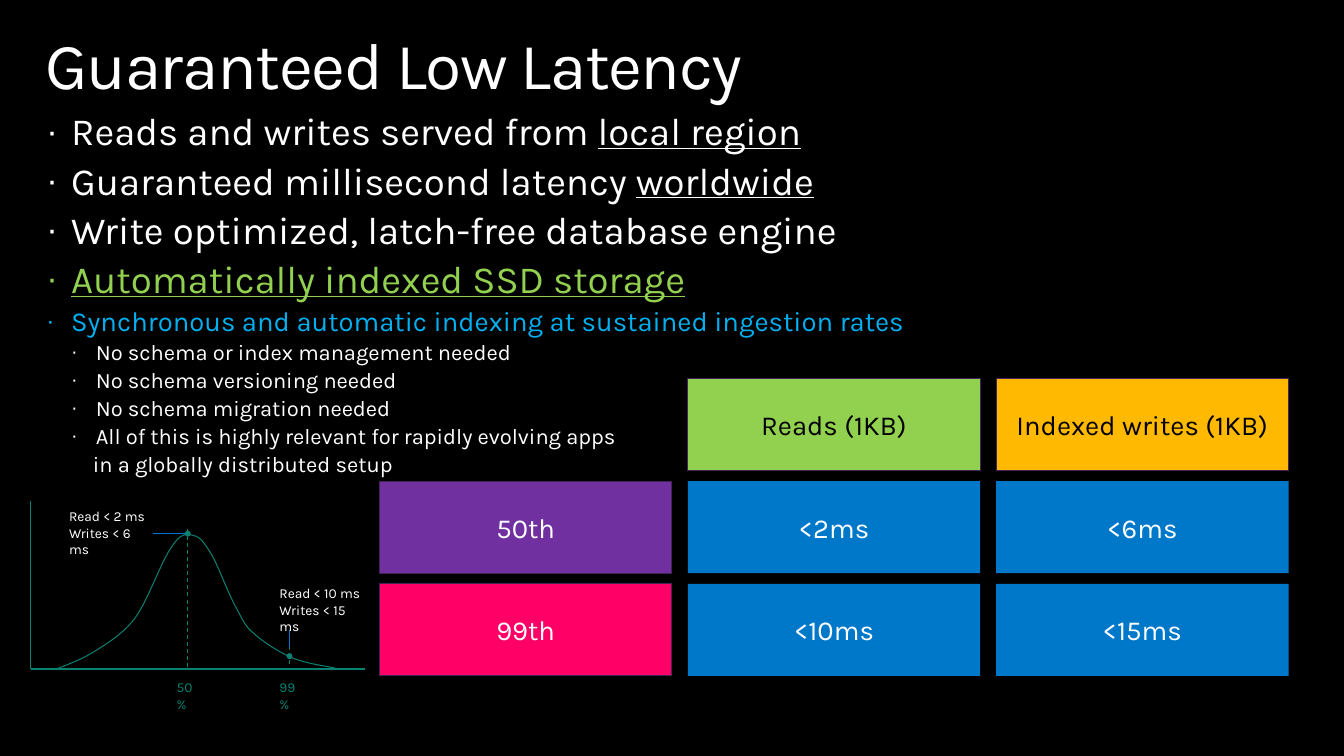
from lxml import etree
from pptx import Presentation
from pptx import util as u
from pptx.dml.color import RGBColor
from pptx.enum import dml, shapes, text
from pptx.oxml.ns import qn

Inches, Pt = u.Inches, u.Pt

COLORS = {
    "black": "000000", "white": "FFFFFF", "green": "92D050", "sky": "00B0F0",
    "amber": "FFB900", "purple": "7030A0", "pink": "FF0066", "blue": "0078C9",
    "outline": "442359", "teal": "0B8172", "callout": "0078D7",
}


def color(name):
    return RGBColor.from_string(COLORS[name])


class LatencySlide:
    font_name = "Karla"

    def __init__(self, presentation):
        self.slide = presentation.slides.add_slide(presentation.slide_layouts[1])
        self.shapes = self.slide.shapes
        self.slide.background.fill.solid()
        self.slide.background.fill.fore_color.rgb = color("black")

    def style(self, paragraph, size, color_name):
        paragraph.font.name = self.font_name
        paragraph.font.size = Pt(size)
        paragraph.font.color.rgb = color(color_name)

    def place(self, placeholder, left, top, width, height):
        placeholder.left, placeholder.top = Inches(left), Inches(top)
        placeholder.width, placeholder.height = Inches(width), Inches(height)
        frame = placeholder.text_frame
        frame.word_wrap = True
        frame.auto_size = text.MSO_AUTO_SIZE.NONE
        frame.vertical_anchor = text.MSO_ANCHOR.TOP
        frame.margin_left = frame.margin_right = Inches(0.16)
        frame.margin_top = frame.margin_bottom = Inches(0.1)
        return frame

    def title(self, words):
        paragraph = self.place(self.shapes.title, 0.3, 0.23, 13, 1).paragraphs[0]
        paragraph.alignment = text.PP_ALIGN.LEFT
        paragraph.line_spacing = 0.9
        run = paragraph.add_run()
        run.text = words
        run._r.get_or_add_rPr().set("spc", "-100")
        self.style(paragraph, 48, "white")

    def bullets(self, items):
        frame = self.place(self.slide.placeholders[1], 0.31, 1.04, 13, 4.77)
        for index, (plain, underlined, size, color_name, level, margin, hanging) in enumerate(items):
            paragraph = frame.add_paragraph() if index else frame.paragraphs[0]
            paragraph.level = level
            paragraph.line_spacing = 0.9
            # A fifth of the text size
            paragraph.space_before = Pt(size * 0.2 if index else 0)
            properties = paragraph._p.get_or_add_pPr()
            properties.set("marL", str(Inches(margin)))
            properties.set("indent", str(Inches(-0.25 if hanging else 0)))
            if hanging:
                etree.SubElement(properties, qn("a:buSzPct"), val="90000")
                etree.SubElement(properties, qn("a:buChar"), char="·")
            else:
                etree.SubElement(properties, qn("a:buNone"))
            for words, underline in ((plain, False), (underlined, True)):
                if words:
                    run = paragraph.add_run()
                    run.text = words
                    if underline:
                        run.font.underline = True
            self.style(paragraph, size, color_name)

    def shape(self, kind, left, top, width, height, fill):
        shape = self.shapes.add_shape(
            kind, Inches(left), Inches(top), Inches(width), Inches(height))
        shape.shadow.inherit = False
        shape.fill.solid()
        shape.fill.fore_color.rgb = color(fill)
        shape.line.fill.background()
        return shape

    def cell(self, column, row, words, fill, text_color="white", outline=None):
        shape = self.shape(shapes.MSO_SHAPE.RECTANGLE, 3.84 + 3.12 * column,
                           3.83 + 1.04 * row, 2.96, 0.93, fill)
        if outline:
            shape.line.color.rgb = color(outline)
            shape.line.width = Pt(0.75)
        frame = shape.text_frame
        frame.margin_left = frame.margin_right = 0
        frame.vertical_anchor = text.MSO_ANCHOR.MIDDLE
        paragraph = frame.paragraphs[0]
        paragraph.text = words
        paragraph.alignment = text.PP_ALIGN.CENTER
        self.style(paragraph, 20, text_color)

    def line(self, start, end, color_name="teal", width=0.75, dashed=False):
        connector = self.shapes.add_connector(
            shapes.MSO_CONNECTOR.STRAIGHT, *map(Inches, start + end))
        connector.line.color.rgb = color(color_name)
        connector.line.width = Pt(width)
        if dashed:
            connector.line.dash_style = dml.MSO_LINE.DASH
        etree.SubElement(connector._element.spPr, qn("a:effectLst"))

    def curve(self, start, segments, steps=10):
        """Draw a chain of cubic curves; a segment is two controls and an end."""
        points = [start]
        for first, second, end in segments:
            origin = points[-1]
            for step in range(1, steps + 1):
                t = step / steps
                s = 1 - t
                points.append(tuple(
                    s**3 * a + 3 * s * s * t * b + 3 * s * t * t * c + t**3 * d
                    for a, b, c, d in zip(origin, first, second, end)))
        # The builder rounds to whole units, so points go in as lengths
        vertices = [(Inches(x), Inches(y)) for x, y in points]
        builder = self.shapes.build_freeform(*vertices[0])
        builder.add_line_segments(vertices[1:], close=False)
        shape = builder.convert_to_shape()
        shape.shadow.inherit = False
        shape.fill.background()
        shape.line.color.rgb = color("teal")
        shape.line.width = Pt(0.75)

    def dot(self, left, top):
        self.shape(shapes.MSO_SHAPE.OVAL, left, top, 0.06, 0.06, "teal")

    def label(self, left, top, width, height, lines, color_name):
        box = self.shapes.add_textbox(
            Inches(left), Inches(top), Inches(width), Inches(height))
        frame = box.text_frame
        frame.word_wrap = True
        for index, words in enumerate(lines):
            paragraph = frame.add_paragraph() if index else frame.paragraphs[0]
            paragraph.text = words
            self.style(paragraph, 10, color_name)


def main():
    presentation = Presentation()
    presentation.slide_width, presentation.slide_height = Inches(13.6), Inches(7.65)
    slide = LatencySlide(presentation)

    # Title and list: plain, underlined, size, colour, level, margin, hanging bullet
    slide.bullets([
        ("Reads and writes served from ", "local region", 28, "white", 0, 0.25, True),
        ("Guaranteed millisecond latency ", "worldwide", 28, "white", 0, 0.25, True),
        ("Write optimized, latch-free database engine", "", 28, "white", 0, 0.25, True),
        ("", "Automatically indexed SSD storage", 28, "green", 0, 0.25, True),
        ("Synchronous and automatic indexing at sustained ingestion rates", "",
         20, "sky", 0, 0.25, True),
        ("No schema or index management needed", "", 16, "white", 1, 0.5, True),
        ("No schema versioning needed", "", 16, "white", 1, 0.5, True),
        ("No schema migration needed", "", 16, "white", 1, 0.5, True),
        ("All of this is highly relevant for rapidly evolving apps", "",
         16, "white", 1, 0.5, True),
        ("in a globally distributed setup", "", 16, "white", 1, 0.47, False),
    ])
    slide.title("Guaranteed Low Latency")

    # Latency grid
    slide.cell(1, 0, "Reads (1KB)", "green", "black", "outline")
    slide.cell(2, 0, "Indexed writes (1KB)", "amber", "black", "outline")
    percentiles = [("50th", "purple", "<2ms", "<6ms"), ("99th", "pink", "<10ms", "<15ms")]
    for row, (name, fill, reads, writes) in enumerate(percentiles, 1):
        slide.cell(0, row, name, fill, outline="outline")
        slide.cell(1, row, reads, "blue")
        slide.cell(2, row, writes, "blue")

    # Axes and distribution curve
    slide.line((0.31, 5.07), (0.31, 6.77), width=1)
    slide.line((0.31, 6.77), (3.69, 6.77), width=1)
    slide.curve((0.57, 6.77), [
        ((0.7, 6.72), (0.83, 6.67), (0.96, 6.59)),
        ((1.1, 6.5), (1.24, 6.42), (1.37, 6.25)),
        ((1.5, 6.07), (1.64, 5.66), (1.74, 5.53)),
        ((1.83, 5.39), (1.89, 5.4), (1.96, 5.42)),
        ((2.02, 5.43), (2.06, 5.48), (2.14, 5.61)),
        ((2.21, 5.73), (2.31, 6.01), (2.39, 6.15)),
        ((2.46, 6.28), (2.48, 6.34), (2.58, 6.42)),
        ((2.67, 6.5), (2.81, 6.59), (2.94, 6.65)),
        ((3.08, 6.71), (3.23, 6.73), (3.39, 6.76)),
    ])

    # Percentile markers and labels
    slide.line((1.9, 5.35), (1.9, 6.77), dashed=True)
    slide.line((1.9, 5.4), (1.55, 5.4), "callout")
    slide.line((2.93, 6.54), (2.93, 6.77), dashed=True)
    slide.line((2.93, 6.55), (2.93, 6.38), "callout")
    slide.dot(1.87, 5.37)
    slide.dot(2.9, 6.61)
    slide.label(0.6, 5.09, 1.02, 0.44, ["Read < 2 ms", "Writes < 6 ms"], "white")
    slide.label(2.73, 5.87, 1.07, 0.44, ["Read < 10 ms", "Writes < 15 ms"], "white")
    slide.label(1.69, 6.82, 0.44, 0.27, ["50%"], "teal")
    slide.label(2.73, 6.82, 0.44, 0.27, ["99%"], "teal")

    presentation.save("out.pptx")


if __name__ == "__main__":
    main()
